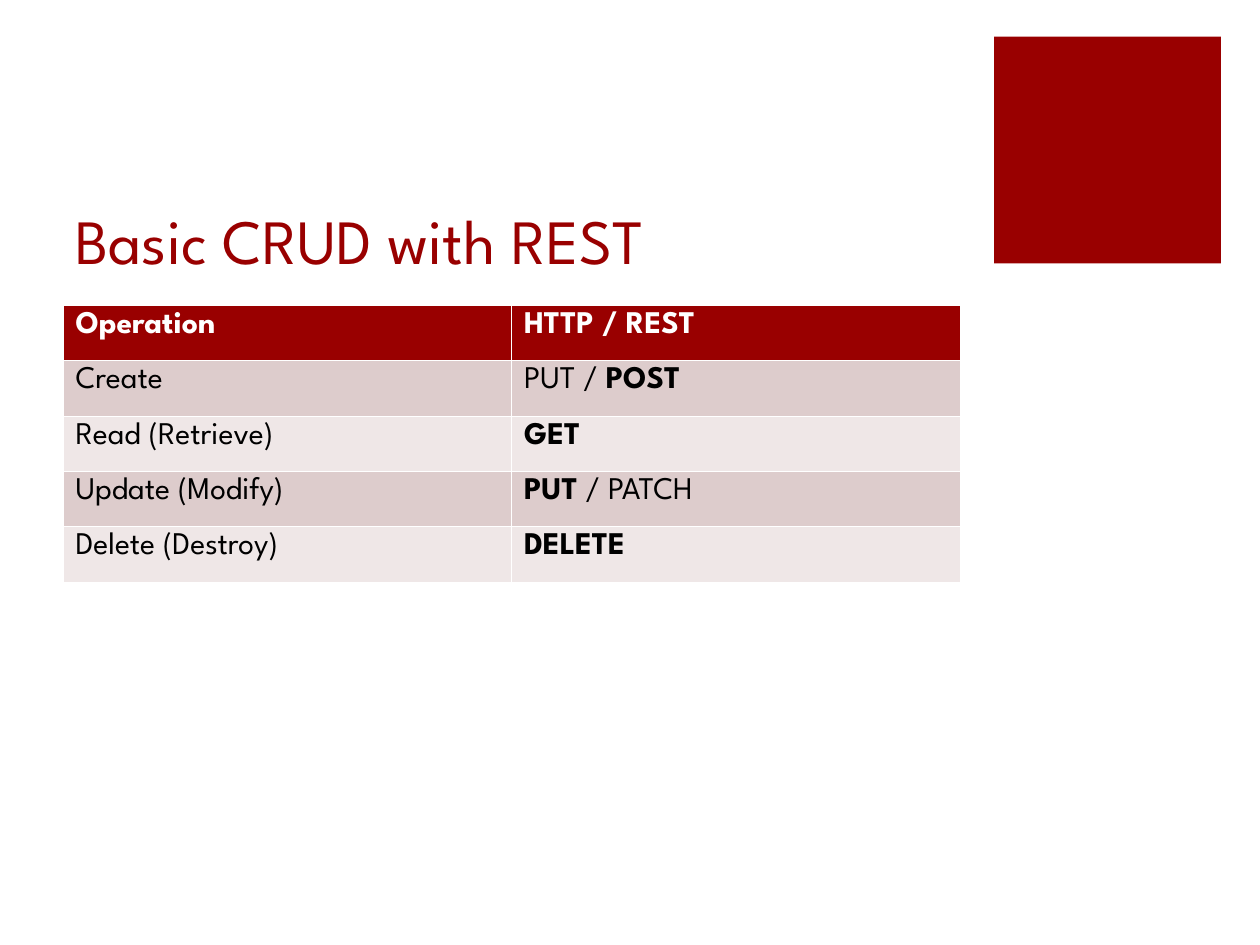
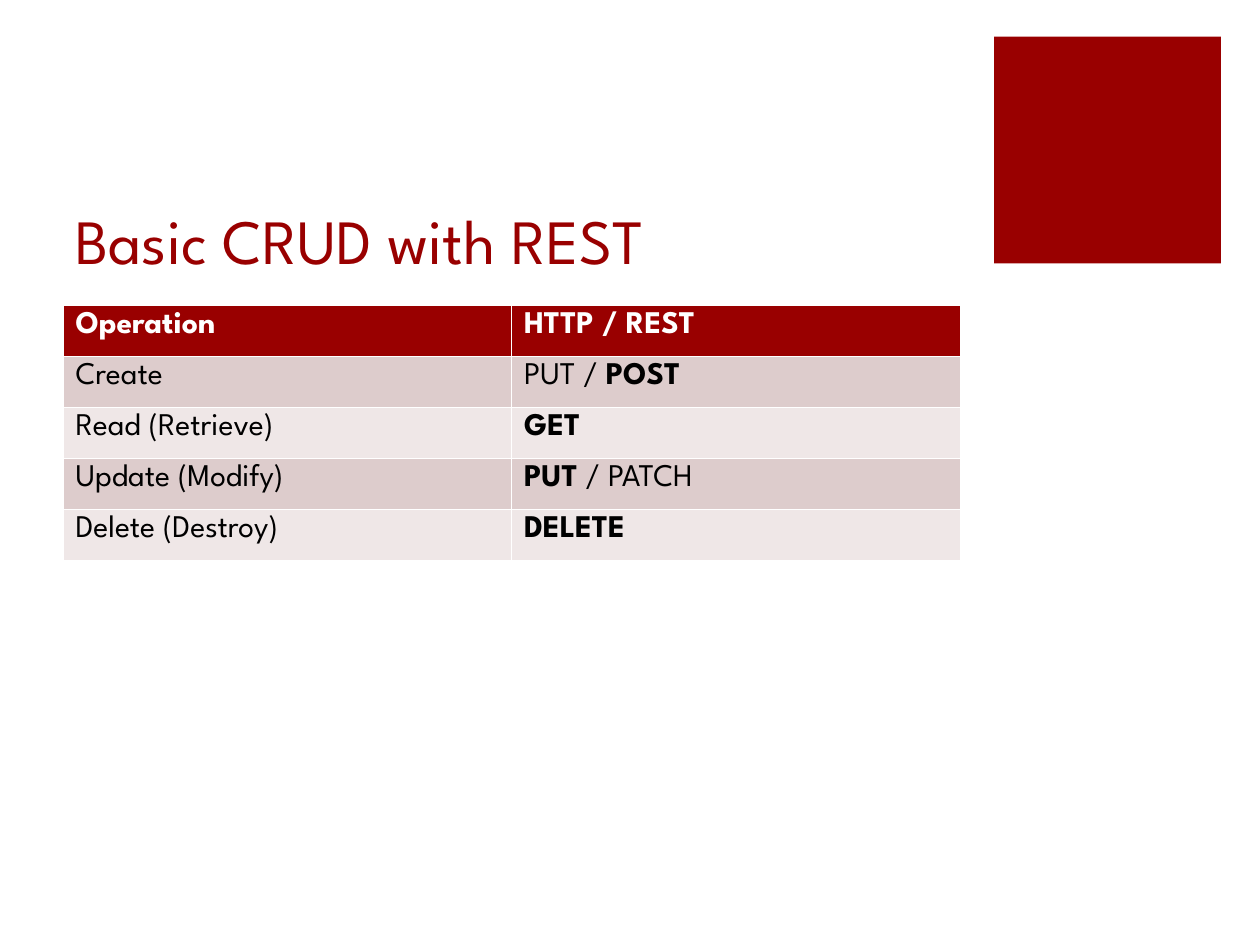
import pptx
import pptx.util
import pptx.dml.color
import pptx.enum.shapes
import pptx.enum.text
import pptx.oxml
import pptx.oxml.ns

Inches, Pt = pptx.util.Inches, pptx.util.Pt

# Content: each cell is a list of (text, bold) spans
TITLE = "Basic CRUD with REST"
OPERATIONS = [
    ([("Operation", True)], [("HTTP / REST", True)]),
    ([("Create", False)], [("PUT / ", False), ("POST", True)]),
    ([("Read (Retrieve)", False)], [("GET", True)]),
    ([("Update (Modify)", False)], [("PUT", True), (" / PATCH", False)]),
    ([("Delete (Destroy)", False)], [("DELETE", True)]),
]
ROW_HEIGHTS = [0.44, 0.405]  # one per slide

# Shared style
FONT = "League Spartan"
COLORS = {"accent": "990000", "odd": "DDCCCC", "even": "EFE7E7",
          "light": "FFFFFF", "dark": "000000"}
LEFT, WIDTH = 0.5, 7.12
BORDER_WIDTH = 0.23


def color(name):
    return pptx.dml.color.RGBColor.from_string(COLORS[name])


def style(font, size, color_name):
    font.name, font.size = FONT, Pt(size)
    font.color.rgb = color(color_name)


def add_accent_square(page):
    square = page.shapes.add_shape(
        pptx.enum.shapes.MSO_SHAPE.RECTANGLE,
        Inches(7.89), Inches(0.29), Inches(1.8), Inches(1.8))
    square.shadow.inherit = False
    square.fill.solid()
    square.fill.fore_color.rgb = color("accent")
    square.line.fill.background()


def add_title(page, text):
    box = page.shapes.add_textbox(
        Inches(LEFT), Inches(1), Inches(WIDTH), Inches(1.25))
    frame = box.text_frame
    frame.word_wrap = True
    frame.vertical_anchor = pptx.enum.text.MSO_ANCHOR.BOTTOM
    para = frame.paragraphs[0]
    para.text = text
    style(para.font, 36, "accent")


def add_borders(cell):
    # Borders come before the fill in the cell properties
    properties = cell._tc.get_or_add_tcPr()
    for position, side in enumerate(("lnL", "lnR", "lnT", "lnB")):
        properties.insert(position, pptx.oxml.parse_xml(
            f'<a:{side} {pptx.oxml.ns.nsdecls("a")} w="{Pt(BORDER_WIDTH)}">'
            f'<a:solidFill><a:srgbClr val="{COLORS["light"]}"/></a:solidFill>'
            f'</a:{side}>'))


def fill_cell(cell, spans, fill_name, text_name):
    cell.fill.solid()
    cell.fill.fore_color.rgb = color(fill_name)
    add_borders(cell)
    para = cell.text_frame.paragraphs[0]
    para.line_spacing = 0.98
    style(para.font, 18, text_name)
    for text, bold in spans:
        span = para.add_run()
        span.text = text
        style(span.font, 18, text_name)
        span.font.bold = bold


def add_operations_table(page, row_height):
    rows, columns = len(OPERATIONS), len(OPERATIONS[0])
    table = page.shapes.add_table(
        rows, columns, Inches(LEFT), Inches(2.42),
        Inches(WIDTH), Inches(row_height * rows)).table
    for column in table.columns:
        column.width = Inches(WIDTH / columns)
    for index, operation in enumerate(OPERATIONS):
        table.rows[index].height = Inches(row_height)
        if index == 0:
            fill_name, text_name = "accent", "light"
        else:
            fill_name, text_name = ("odd" if index % 2 else "even"), "dark"
        for column, spans in enumerate(operation):
            fill_cell(table.cell(index, column), spans, fill_name, text_name)


def main():
    deck = pptx.Presentation()
    deck.slide_width, deck.slide_height = Inches(10), Inches(7.5)
    for row_height in ROW_HEIGHTS:
        page = deck.slides.add_slide(deck.slide_layouts[6])
        add_accent_square(page)
        add_title(page, TITLE)
        add_operations_table(page, row_height)
    deck.save("out.pptx")


if __name__ == "__main__":
    main()
